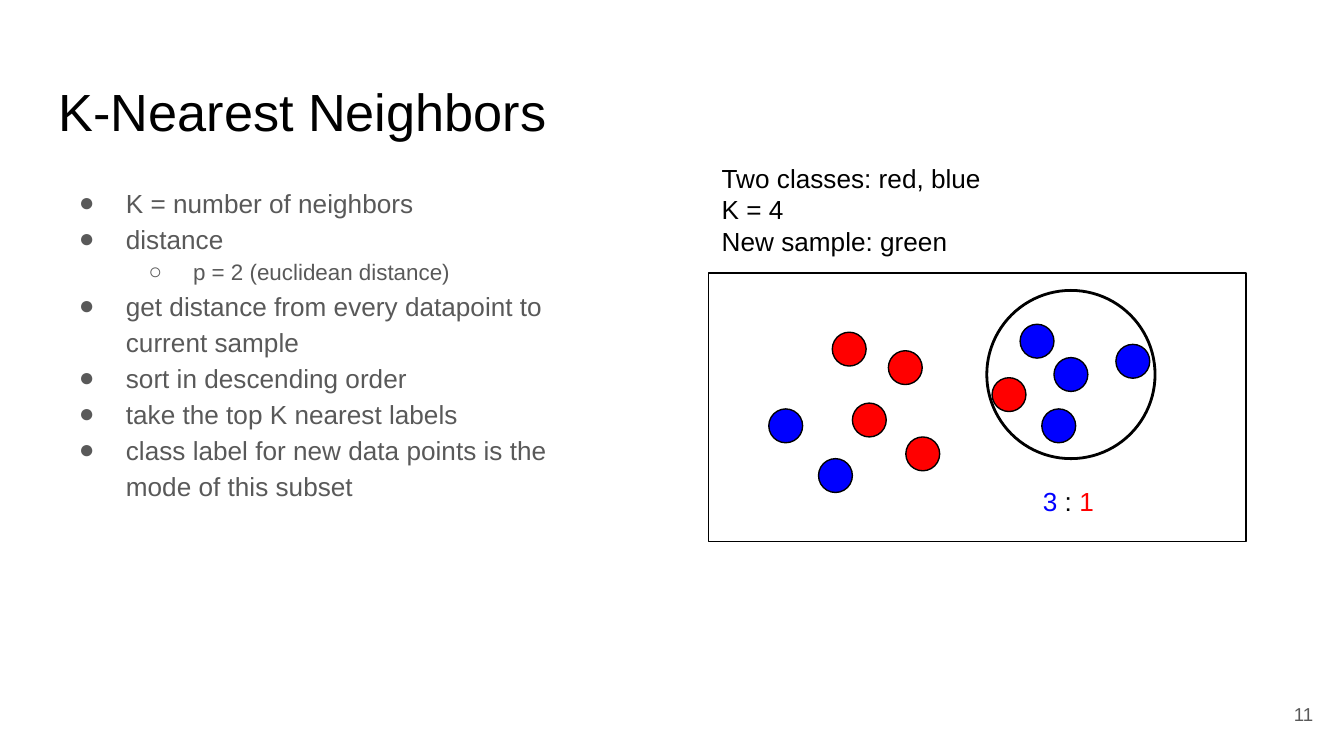
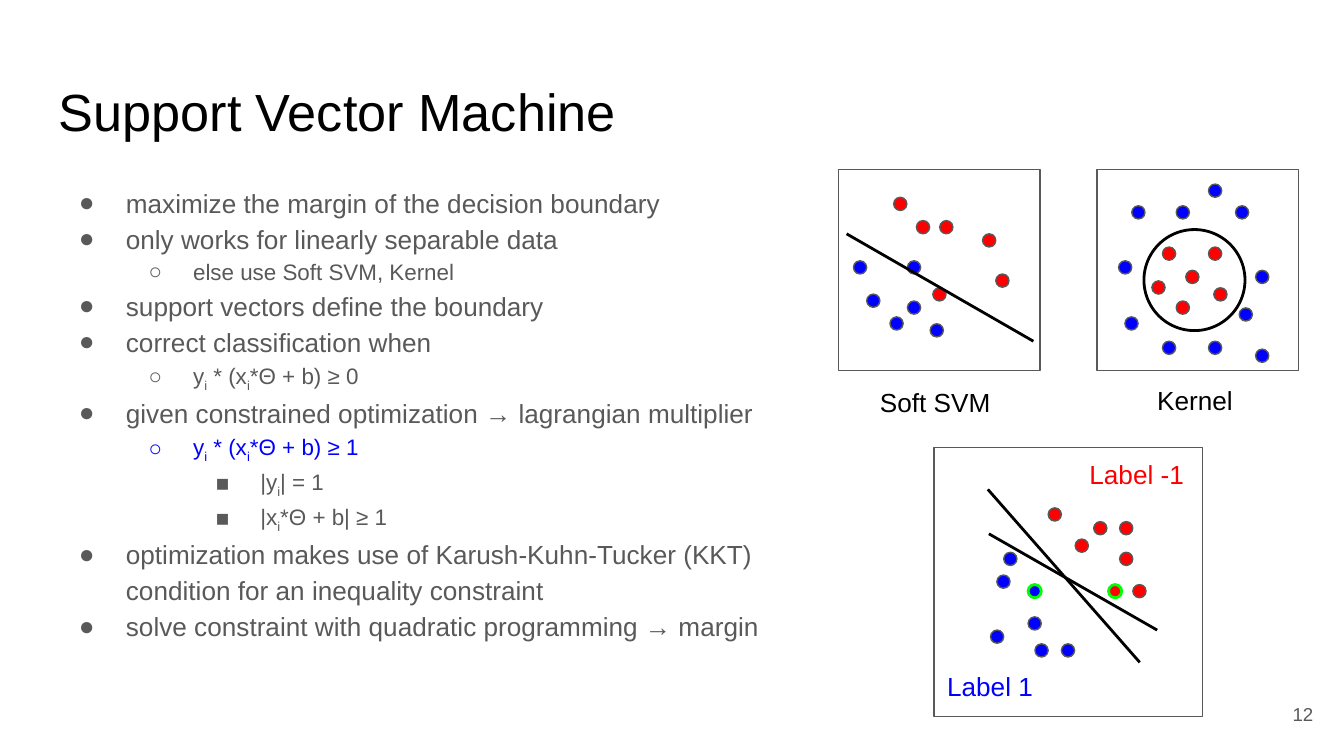
from lxml import etree
from pptx import Presentation
from pptx.dml.color import RGBColor
from pptx.enum.shapes import MSO_CONNECTOR, MSO_SHAPE
from pptx.enum.text import MSO_ANCHOR, PP_ALIGN
from pptx.oxml.ns import qn
from pptx.util import Cm, Pt

RECTANGLE, OVAL = MSO_SHAPE.RECTANGLE, MSO_SHAPE.OVAL
STRAIGHT = MSO_CONNECTOR.STRAIGHT
TOP, MIDDLE = MSO_ANCHOR.TOP, MSO_ANCHOR.MIDDLE
LEFT, RIGHT = PP_ALIGN.LEFT, PP_ALIGN.RIGHT

FONT = "Arial"
COLORS = {
    "black": "000000",
    "gray": "595959",
    "white": "FFFFFF",
    "red": "FF0000",
    "blue": "0000FF",
    "green": "00FF00",
}
THIN, THICK = 0.75, 1.5
INSET = 0.25
BIG_DOT, SMALL_DOT = 0.64, 0.25

# Boxes are left, top, width, height in centimetres.
TITLE_BOX = (0.86, 1.24, 23.67, 1.6)
NUMBER_BOX = (23.55, 12.95, 1.52, 1.09)
# Per level: bullet, text size, hanging indent
LEVELS = [("●", 14, 0.89), ("○", 12, 0.84), ("■", 12, 0.84)]
LEVEL_INDENT = 1.27

NEIGHBOR_POINTS = [
    (0, "K = number of neighbors", "gray"),
    (0, "distance", "gray"),
    (1, "p = 2 (euclidean distance)", "gray"),
    (0, "get distance from every datapoint to current sample", "gray"),
    (0, "sort in descending order", "gray"),
    (0, "take the top K nearest labels", "gray"),
    (0, "class label for new data points is the mode of this subset", "gray"),
]
# Text between underscores is subscript.
VECTOR_POINTS = [
    (0, "maximize the margin of the decision boundary", "gray"),
    (0, "only works for linearly separable data", "gray"),
    (1, "else use Soft SVM, Kernel", "gray"),
    (0, "support vectors define the boundary", "gray"),
    (0, "correct classification when", "gray"),
    (1, "y_i_ * (x_i_*Θ + b) ≥ 0", "gray"),
    (0, "given constrained optimization → lagrangian multiplier", "gray"),
    (1, "y_i_ * (x_i_*Θ + b) ≥ 1", "blue"),
    (2, "|y_i_| = 1", "gray"),
    (2, "|x_i_*Θ + b| ≥ 1", "gray"),
    (0, "optimization makes use of Karush-Kuhn-Tucker (KKT) "
        "condition for an inequality constraint", "gray"),
    (0, "solve constraint with quadratic programming → margin", "gray"),
]

# Dot corners, measured from the corner of their panel
NEIGHBOR_DOTS = {
    "red": [(5.36, 1.98), (2.72, 2.46), (2.34, 1.12), (3.4, 1.47), (3.73, 3.1)],
    "blue": [(5.89, 0.97), (1.14, 2.57), (6.3, 2.57), (7.7, 1.35),
             (2.08, 3.51), (6.53, 1.6)],
}
SOFT_DOTS = {
    "red": [(1.04, 0.53), (1.47, 0.97), (1.91, 0.97), (1.78, 2.24),
            (2.72, 1.22), (2.97, 1.98)],
    "blue": [(1.3, 1.73), (1.3, 2.49), (0.28, 1.73), (0.53, 2.36),
             (1.73, 2.92), (0.97, 2.79)],
}
KERNEL_DOTS = {
    "red": [(1.24, 1.47), (1.68, 1.91), (2.11, 1.47), (1.5, 2.49),
            (2.21, 2.24), (1.04, 2.11)],
    "blue": [(0.53, 2.79), (0.41, 1.73), (0.66, 0.69), (1.24, 3.25),
             (1.5, 0.69), (2.11, 3.25), (2.69, 2.62), (3, 3.4),
             (3, 1.91), (2.62, 0.69), (2.11, 0.28)],
}
LABEL_DOTS = {
    "blue": [(1.91, 3.71), (1.32, 1.98), (2.41, 3.71), (1.07, 3.45),
             (1.78, 3.2), (1.19, 2.41)],
    "red": [(3.76, 2.59), (2.67, 1.73), (3.51, 1.98), (2.16, 1.14),
            (3.51, 1.4), (3.02, 1.4)],
}
SUPPORT_DOTS = {"blue": [(1.78, 2.59)], "red": [(3.3, 2.59)]}


def color(name):
    return RGBColor.from_string(COLORS[name])


def within(outer, left, top, width, height):
    """Turn a box measured from the corner of outer into a page box."""
    return outer[0] + left, outer[1] + top, width, height


def style_span(span, size, color_name):
    span.font.name = FONT
    span.font.size = Pt(size)
    span.font.color.rgb = color(color_name)


def add_frame(page, box, anchor=TOP):
    frame = page.shapes.add_textbox(*map(Cm, box)).text_frame
    frame.word_wrap = True
    frame.vertical_anchor = anchor
    frame.margin_left = frame.margin_right = Cm(INSET)
    frame.margin_top = frame.margin_bottom = Cm(INSET)
    return frame


def add_text(page, box, text, size=14, color_name="black", align=LEFT, anchor=TOP):
    frame = add_frame(page, box, anchor)
    frame.text = text
    for para in frame.paragraphs:
        para.alignment = align
        for span in para.runs:
            style_span(span, size, color_name)


def add_outline(page, kind, box, line, weight, fill=None):
    shape = page.shapes.add_shape(kind, *map(Cm, box))
    shape.shadow.inherit = False
    if fill:
        shape.fill.solid()
        shape.fill.fore_color.rgb = color(fill)
    else:
        shape.fill.background()
    shape.line.color.rgb = color(line)
    shape.line.width = Pt(weight)


def add_dots(page, panel, dots, size, line, weight=THIN):
    for fill, corners in dots.items():
        for left, top in corners:
            box = within(panel, left, top, size, size)
            add_outline(page, OVAL, box, line, weight, fill)


def add_boundary(page, panel, start, end):
    points = [Cm(panel[axis] + point[axis]) for point in (start, end) for axis in (0, 1)]
    boundary = page.shapes.add_connector(STRAIGHT, *points)
    boundary.line.color.rgb = color("black")
    boundary.line.width = Pt(THICK)
    etree.SubElement(boundary._element.spPr, qn("a:effectLst"))


def set_bullet(para, level, color_name):
    bullet, _, hanging = LEVELS[level]
    properties = para._p.get_or_add_pPr()
    properties.set("marL", str(Cm(LEVEL_INDENT * (level + 1))))
    properties.set("indent", str(-Cm(hanging)))
    bullet_color = etree.SubElement(properties, qn("a:buClr"))
    etree.SubElement(bullet_color, qn("a:srgbClr"), val=COLORS[color_name])
    etree.SubElement(properties, qn("a:buFont"), typeface=FONT)
    etree.SubElement(properties, qn("a:buChar"), char=bullet)


def add_bullets(page, box, points):
    frame = add_frame(page, box)
    for index, (level, text, color_name) in enumerate(points):
        para = frame.add_paragraph() if index else frame.paragraphs[0]
        set_bullet(para, level, color_name)
        para.level = level
        para.line_spacing = 1.15
        for position, piece in enumerate(text.split("_")):
            span = para.add_run()
            span.text = piece
            style_span(span, LEVELS[level][1], color_name)
            if position % 2:
                span._r.get_or_add_rPr().set("baseline", "-25000")


def add_page(deck, title, number):
    page = deck.slides.add_slide(deck.slide_layouts[6])
    page.background.fill.solid()
    page.background.fill.fore_color.rgb = color("white")
    add_text(page, TITLE_BOX, title, 28)
    add_text(page, NUMBER_BOX, str(number), 10, "gray", RIGHT, MIDDLE)
    return page


def draw_neighbors(page, panel):
    add_outline(page, RECTANGLE, panel, "black", THIN)
    add_dots(page, panel, NEIGHBOR_DOTS, BIG_DOT, "black")
    add_outline(page, OVAL, within(panel, 5.26, 0.33, 3.18, 3.18), "black", THICK)
    add_text(page, within(panel, 0, -2.34, 5.69, 2.34),
             "Two classes: red, blue\nK = 4\nNew sample: green")
    para = add_frame(page, within(panel, 6.07, 3.76, 1.52, 1.09)).paragraphs[0]
    for text, color_name in (("3", "blue"), (" : ", "black"), ("1", "red")):
        span = para.add_run()
        span.text = text
        style_span(span, 14, color_name)


def draw_soft_margin(page, panel):
    add_outline(page, RECTANGLE, panel, "gray", THIN)
    add_dots(page, panel, SOFT_DOTS, SMALL_DOT, "gray")
    add_boundary(page, panel, (0.15, 1.22), (3.68, 3.25))
    add_text(page, within(panel, 0.53, 3.86, 2.74, 1.09), "Soft SVM")


def draw_kernel(page, panel):
    add_outline(page, RECTANGLE, panel, "gray", THIN)
    add_dots(page, panel, KERNEL_DOTS, SMALL_DOT, "gray")
    add_outline(page, OVAL, within(panel, 0.89, 1.14, 1.91, 1.91), "black", THICK)
    add_text(page, within(panel, 0.89, 3.81, 2.03, 0.91), "Kernel")


def draw_support_vectors(page, panel):
    add_outline(page, RECTANGLE, panel, "gray", THIN)
    add_dots(page, panel, LABEL_DOTS, SMALL_DOT, "gray")
    add_boundary(page, panel, (1.02, 0.79), (3.89, 4.06))
    add_boundary(page, panel, (4.22, 3.45), (1.04, 1.63))
    add_dots(page, panel, SUPPORT_DOTS, SMALL_DOT, "green", THICK)
    add_text(page, within(panel, 0, 3.96, 2.36, 1.09), "Label 1", color_name="blue")
    add_text(page, within(panel, 2.69, -0.05, 2.36, 1.09), "Label -1", color_name="red")


def main():
    deck = Presentation()
    deck.slide_width, deck.slide_height = Cm(25.4), Cm(14.29)

    page = add_page(deck, "K-Nearest Neighbors", 11)
    add_bullets(page, (0.86, 3.2, 11.1, 9.5), NEIGHBOR_POINTS)
    draw_neighbors(page, (13.39, 5.16, 10.16, 5.08))

    page = add_page(deck, "Support Vector Machine", 12)
    add_bullets(page, (0.86, 3.2, 14.38, 9.5), VECTOR_POINTS)
    draw_soft_margin(page, (15.85, 3.2, 3.81, 3.81))
    draw_kernel(page, (20.73, 3.2, 3.81, 3.81))
    draw_support_vectors(page, (17.65, 8.46, 5.08, 5.08))

    deck.save("out.pptx")


if __name__ == "__main__":
    main()
